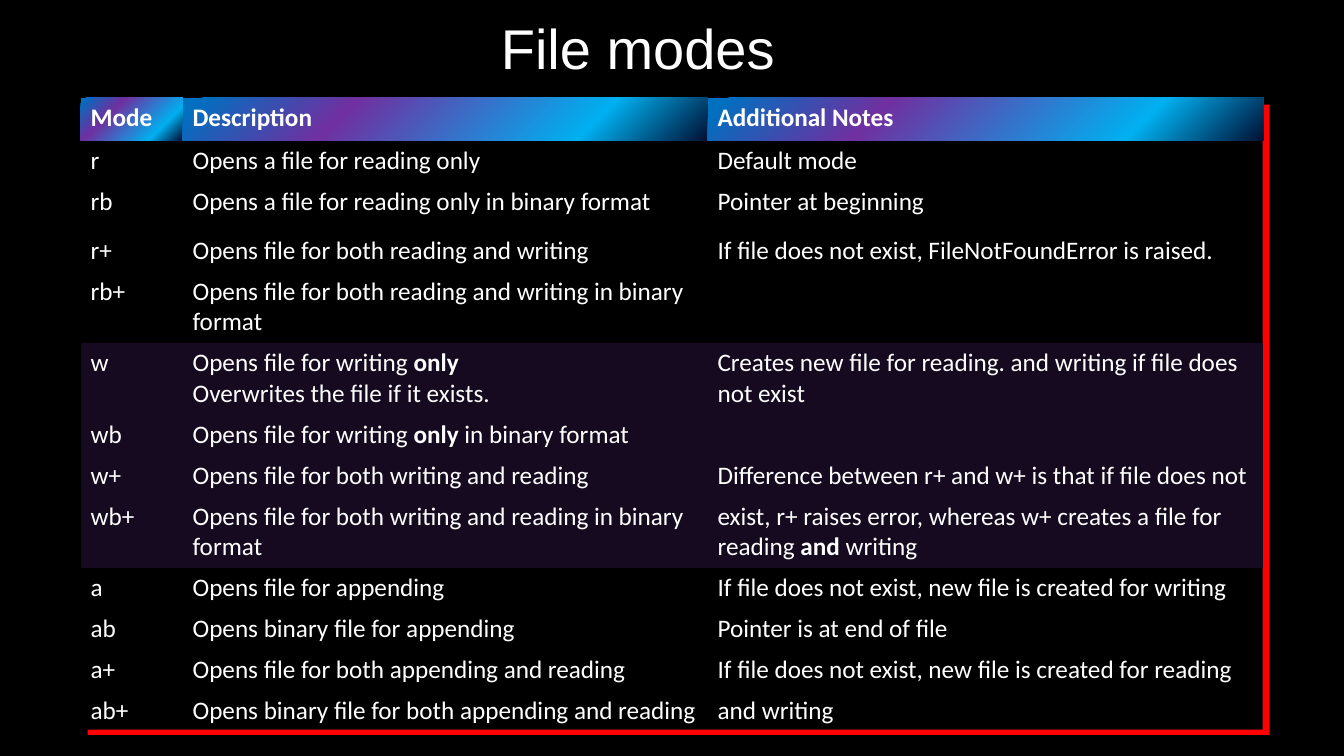
from lxml import etree
from pptx import Presentation
from pptx.dml.color import RGBColor
from pptx.enum.shapes import MSO_SHAPE
from pptx.enum.text import MSO_ANCHOR, MSO_AUTO_SIZE, PP_ALIGN
from pptx.oxml.ns import qn
from pptx.util import Cm, Pt

RECTANGLE = MSO_SHAPE.RECTANGLE
CENTER = PP_ALIGN.CENTER
MIDDLE = MSO_ANCHOR.MIDDLE
NO_AUTOFIT = MSO_AUTO_SIZE.NONE

BLACK = RGBColor(0x00, 0x00, 0x00)
WHITE = RGBColor(0xFF, 0xFF, 0xFF)
RED = RGBColor(0xFF, 0x00, 0x00)
DARK_PURPLE = RGBColor(0x16, 0x0A, 0x20)
HEADER_STOPS = [
    (0, RGBColor(0x00, 0x12, 0x36)),
    (23, RGBColor(0x00, 0xB0, 0xF0)),
    (69, RGBColor(0x70, 0x30, 0xA0)),
    (97, RGBColor(0x00, 0x70, 0xC0)),
]

# Content: ** marks bold words, a line break starts a new paragraph
TITLE = "File modes"
HEADER = ("Mode", "Description", "Additional Notes")
MODES = [
    ("r", "Opens a file for reading only", "Default mode"),
    ("rb", "Opens a file for reading only in binary format", "Pointer at beginning"),
    ("r+", "Opens file for both reading and writing",
     "If file does not exist, FileNotFoundError is raised."),
    ("rb+", "Opens file for both reading and writing in binary format", ""),
    ("w", "Opens file for writing **only**\nOverwrites the file if it exists.",
     "Creates new file for reading. and writing if file does not exist"),
    ("wb", "Opens file for writing **only **in binary format", ""),
    ("w+", "Opens file for both writing and reading",
     "Difference between r+ and w+ is that if file does not"),
    ("wb+", "Opens file for both writing and reading in binary format",
     "exist, r+ raises error, whereas w+ creates a file for reading **and **writing"),
    ("a", "Opens file for appending",
     "If file does not exist, new file is created for writing"),
    ("ab", "Opens binary file for appending", "Pointer is at end of file"),
    ("a+", "Opens file for both appending and reading",
     "If file does not exist, new file is created for reading"),
    ("ab+", "Opens binary file for both appending and reading", "and writing"),
]

# Measures in centimetres
TABLE_LEFT, TABLE_TOP = 2.03, 2.46
COLUMN_WIDTHS = (2.57, 13.23, 14.0)
ONE_LINE, TWO_LINES = 1.02, 1.79
ROW_HEIGHTS = {"Mode": 1.07, "rb": 1.24, "rb+": TWO_LINES, "w": TWO_LINES, "wb+": TWO_LINES}
PANELS = [(2.21, 2.64, 29.79, 15.88, RED), (2.03, 2.64, 29.79, 15.75, BLACK)]
NO_STYLE_NO_GRID = "{2D5ABB26-0587-4C30-8999-92F81FD0307C}"


def fill_header(cell):
    """Circular gradient that starts in the bottom right corner."""
    properties = cell._tc.get_or_add_tcPr()
    gradient = etree.SubElement(properties, qn("a:gradFill"), rotWithShape="1")
    stops = etree.SubElement(gradient, qn("a:gsLst"))
    for percent, color in HEADER_STOPS:
        stop = etree.SubElement(stops, qn("a:gs"), pos=str(percent * 1000))
        etree.SubElement(stop, qn("a:srgbClr"), val=str(color))
    circle = etree.SubElement(gradient, qn("a:path"), path="circle")
    etree.SubElement(circle, qn("a:fillToRect"), l="100000", t="100000")


def write_cell(cell, text, bold):
    frame = cell.text_frame
    for index, line in enumerate(text.split("\n")):
        paragraph = frame.add_paragraph() if index else frame.paragraphs[0]
        paragraph.font.name = "Calibri"
        paragraph.font.size = Pt(18)
        paragraph.font.color.rgb = WHITE
        paragraph.font.bold = bold
        for part_index, part in enumerate(line.split("**")):
            if part:
                run = paragraph.add_run()
                run.text = part
                if part_index % 2:
                    run.font.bold = True


presentation = Presentation()
presentation.slide_width = Cm(33.87)
presentation.slide_height = Cm(19.05)
slide = presentation.slides.add_slide(presentation.slide_layouts[5])
slide.background.fill.solid()
slide.background.fill.fore_color.rgb = BLACK

# Title
title = slide.shapes.title
title.left, title.top, title.width, title.height = Cm(11.56), Cm(0.2), Cm(9.02), Cm(1.96)
title.text_frame.text = TITLE
title.text_frame.word_wrap = False
title.text_frame.auto_size = NO_AUTOFIT
title.text_frame.vertical_anchor = MIDDLE
heading = title.text_frame.paragraphs[0]
heading.alignment = CENTER
heading.font.name = "Arial"
heading.font.size = Pt(40)
heading.font.color.rgb = WHITE

# Red edge behind a black panel
for left, top, width, height, color in PANELS:
    panel = slide.shapes.add_shape(RECTANGLE, Cm(left), Cm(top), Cm(width), Cm(height))
    panel.shadow.inherit = False
    panel.fill.solid()
    panel.fill.fore_color.rgb = color
    panel.line.fill.background()

# Table of modes
rows = [HEADER] + MODES
heights = [ROW_HEIGHTS.get(row[0], ONE_LINE) for row in rows]
table_frame = slide.shapes.add_table(
    len(rows), len(HEADER), Cm(TABLE_LEFT), Cm(TABLE_TOP),
    Cm(sum(COLUMN_WIDTHS)), Cm(sum(heights)))
table = table_frame.table
table.horz_banding = False
table._tbl.tblPr.find(qn("a:tableStyleId")).text = NO_STYLE_NO_GRID
for column, width in zip(table.columns, COLUMN_WIDTHS):
    column.width = Cm(width)
for row_index, (row, height) in enumerate(zip(rows, heights)):
    table.rows[row_index].height = Cm(height)
    for column_index, text in enumerate(row):
        cell = table.cell(row_index, column_index)
        write_cell(cell, text, bold=row_index == 0)
        if row_index == 0:
            fill_header(cell)
        elif row[0].startswith("w"):
            cell.fill.solid()
            cell.fill.fore_color.rgb = DARK_PURPLE
        else:
            cell.fill.background()

presentation.save("out.pptx")
